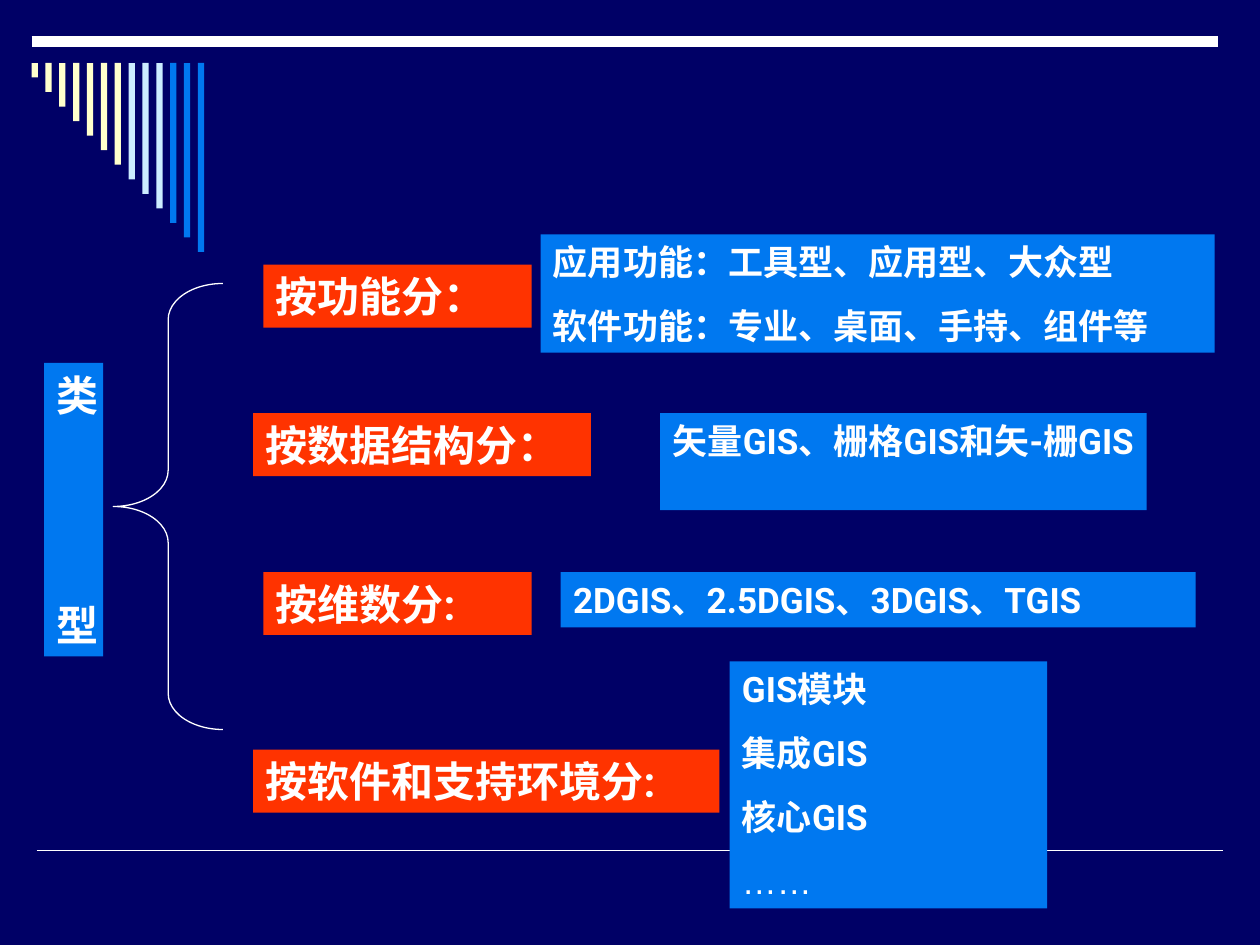
"""Build a slide that classifies GIS types with a brace and labelled boxes."""
from lxml import etree
from pptx import Presentation
from pptx import util as u
from pptx.dml.color import RGBColor
from pptx.enum import shapes, text
from pptx.oxml.ns import qn

COLORS = {
    "navy": "000066",
    "white": "FFFFFF",
    "cream": "FFFFCC",
    "pale": "CCECFF",
    "blue": "0078F0",
    "red": "FF3300",
}


def rgb(name):
    return RGBColor.from_string(COLORS[name])


def write_text(paragraph, content, size=20, bold=True, font="Roboto", before=0):
    paragraph.alignment = text.PP_ALIGN.LEFT
    paragraph.space_before = u.Pt(before)
    run = paragraph.add_run()
    run.text = content
    run.font.size = u.Pt(size)
    run.font.bold = bold
    run.font.name = font
    run.font.color.rgb = rgb("white")


class SlideBuilder:
    def __init__(self, presentation):
        self.slide = presentation.slides.add_slide(presentation.slide_layouts[6])
        background = self.slide.background.fill
        background.solid()
        background.fore_color.rgb = rgb("navy")

    def add_shape(self, kind, left, top, width, height):
        shape = self.slide.shapes.add_shape(
            kind, u.Inches(left), u.Inches(top), u.Inches(width), u.Inches(height))
        shape.shadow.inherit = False
        return shape

    def rectangle(self, left, top, width, height, color):
        shape = self.add_shape(shapes.MSO_SHAPE.RECTANGLE, left, top, width, height)
        shape.fill.solid()
        shape.fill.fore_color.rgb = rgb(color)
        shape.line.fill.background()
        return shape

    def rule(self, left, right, y, weight):
        line = self.slide.shapes.add_connector(
            shapes.MSO_CONNECTOR.STRAIGHT,
            u.Inches(left), u.Inches(y), u.Inches(right), u.Inches(y))
        line.line.color.rgb = rgb("white")
        line.line.width = u.Pt(weight)
        etree.SubElement(line._element.spPr, qn("a:effectLst"))

    def brace(self, left, top, width, height):
        shape = self.add_shape(shapes.MSO_SHAPE.LEFT_BRACE, left, top, width, height)
        shape.adjustments[0] = 0.33
        shape.fill.background()
        shape.line.color.rgb = rgb("white")
        shape.line.width = u.Pt(0.75)

    def text_box(self, bounds, color, lines, size, gap=12.5):
        frame = self.rectangle(*bounds, color).text_frame
        frame.word_wrap = True
        frame.auto_size = text.MSO_AUTO_SIZE.SHAPE_TO_FIT_TEXT
        frame.vertical_anchor = text.MSO_ANCHOR.TOP
        for index, content in enumerate(lines):
            paragraph = frame.add_paragraph() if index else frame.paragraphs[0]
            style = {"font": "Arial", "bold": False} if content == "……" else {}
            write_text(paragraph, content, size=size,
                       before=gap if index else 0, **style)


def main():
    presentation = Presentation()
    presentation.slide_width = u.Inches(10)
    presentation.slide_height = u.Inches(7.5)
    builder = SlideBuilder(presentation)

    builder.rule(0.29, 9.71, 6.75, 1)
    builder.rule(0.25, 9.67, 0.33, 6)
    bar_colors = ["cream"] * 7 + ["pale"] * 3 + ["blue"] * 3
    for index, color in enumerate(bar_colors):
        height = 1.5 * (index + 1) / len(bar_colors)
        builder.rectangle(0.25 + 0.11 * index, 0.5, 0.05, height, color)

    builder.brace(0.9, 2.25, 0.87, 3.54)

    categories = [
        ((2.09, 2.1, 2.13, 0.5), "按功能分："),
        ((2.01, 3.28, 2.68, 0.5), "按数据结构分："),
        ((2.09, 4.54, 2.13, 0.5), "按维数分:"),
        ((2.01, 5.95, 3.7, 0.5), "按软件和支持环境分:"),
    ]
    for bounds, label in categories:
        builder.text_box(bounds, "red", [label], 24)

    builder.text_box((0.35, 2.88, 0.47, 2.33), "blue", ["类", "型"], 24, gap=103)

    details = [
        ((4.29, 1.86, 5.35, 0.94),
         ["应用功能：工具型、应用型、大众型", "软件功能：专业、桌面、手持、组件等"]),
        ((5.24, 3.28, 3.86, 0.77), ["矢量GIS、栅格GIS和矢-栅GIS"]),
        ((4.45, 4.54, 5.04, 0.44), ["2DGIS、2.5DGIS、3DGIS、TGIS"]),
        ((5.79, 5.25, 2.52, 1.96), ["GIS模块", "集成GIS", "核心GIS", "……"]),
    ]
    for bounds, lines in details:
        builder.text_box(bounds, "blue", lines, 20)

    presentation.save("out.pptx")


if __name__ == "__main__":
    main()
